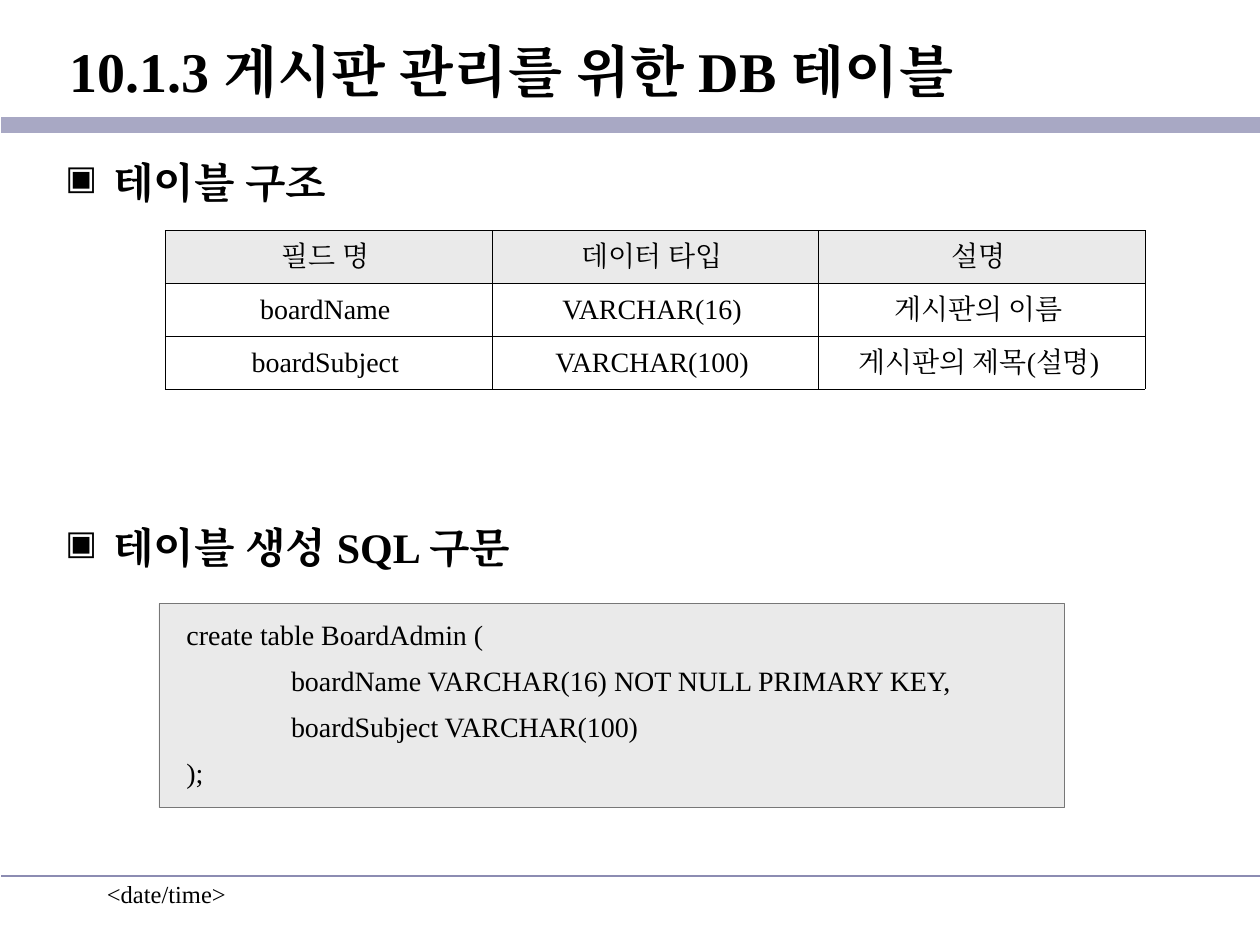
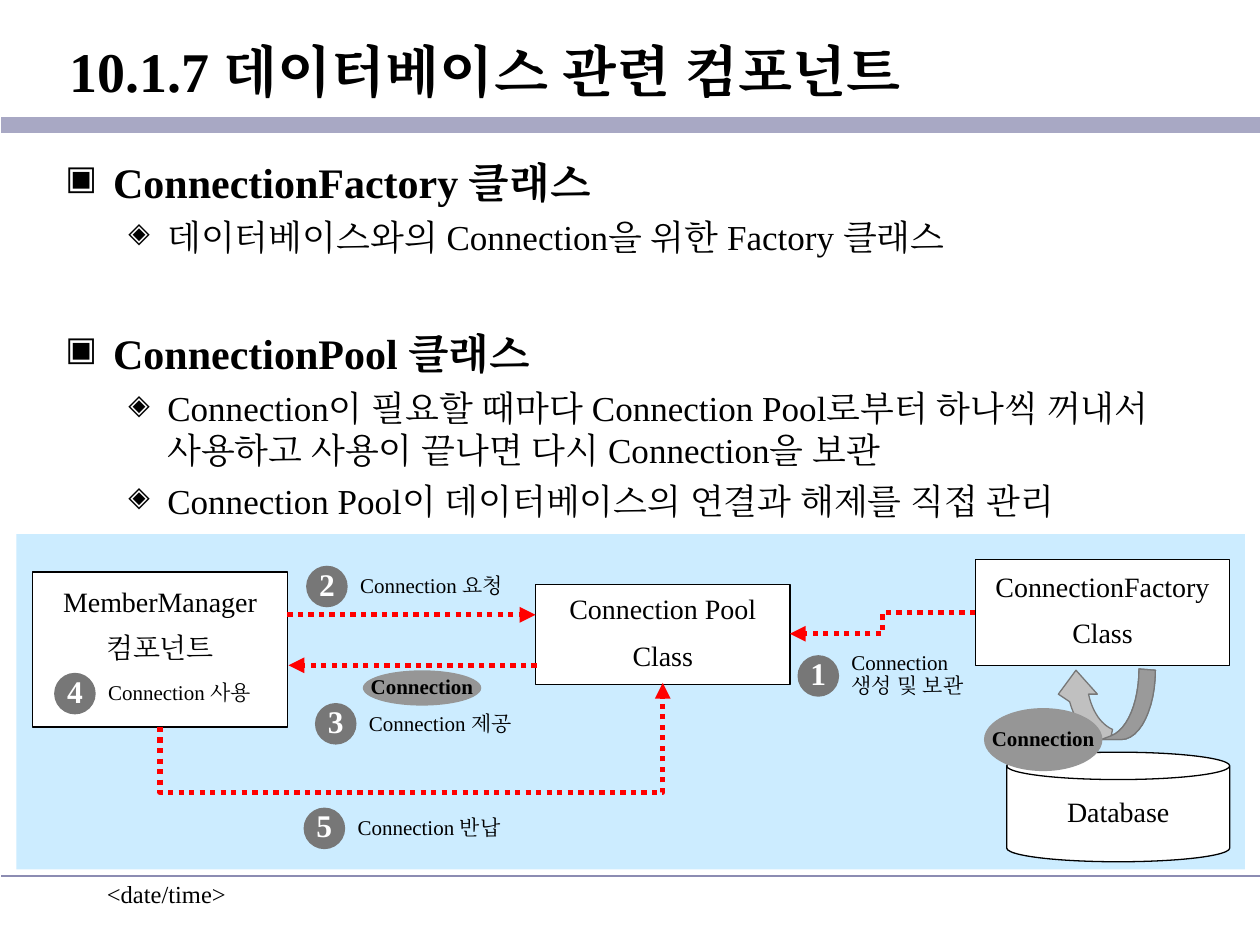
from lxml.etree import SubElement
from pptx import Presentation
from pptx.dml.color import RGBColor
from pptx.enum.dml import MSO_LINE
from pptx.enum.shapes import MSO_CONNECTOR, MSO_SHAPE
from pptx.enum.text import MSO_ANCHOR, MSO_AUTO_SIZE, PP_ALIGN
from pptx.oxml import parse_xml
from pptx.oxml.ns import nsdecls, qn
from pptx.util import Emu, Inches, Pt

# The grid has 100 columns and 75 rows of square cells.
COLUMNS = 100
FONT = "Times New Roman"
COLORS = {
    "text": "000000", "paper": "FFFFFF", "band": "A8A8C4", "rule": "8C8CB2",
    "panel": "EAEAEA", "panel_line": "777777", "diagram": "CCECFF",
    "arrow": "FF0000", "badge": "777777", "token": "969696",
    "turn": "C0C0C0", "turn_shade": "9A9A9A",
}
FONTS = {
    "title": dict(size=Pt(32), bold=True),
    "heading": dict(size=Pt(24), bold=True),
    "point": dict(size=Pt(20), bold=False),
    "box": dict(size=Pt(16), bold=False),
    "footer": dict(size=Pt(14), bold=False),
    "label": dict(size=Pt(12), bold=False),
    "token": dict(size=Pt(12), bold=True),
    "badge": dict(size=Pt(18), bold=True),
}
CENTER = PP_ALIGN.CENTER
PARAGRAPHS = {
    "title": dict(alignment=PP_ALIGN.LEFT),
    "heading": dict(space_before=Pt(6)),
    "point": dict(space_before=Pt(5)),
    "cell": dict(space_before=Pt(4), alignment=CENTER),
    "code": dict(space_before=Pt(10), line_spacing=0.85, alignment=PP_ALIGN.LEFT),
    "box": dict(space_before=Pt(10), line_spacing=0.85, alignment=CENTER),
    "store": dict(space_before=Pt(4), line_spacing=0.9, alignment=CENTER),
    "label": dict(space_before=Pt(3), line_spacing=0.9),
    "token": dict(space_before=Pt(3), line_spacing=0.9, alignment=CENTER),
    "badge": dict(space_before=Pt(11.2), line_spacing=0.85, alignment=CENTER),
}
# Bullet character, left margin and first-line indent in inches
BULLETS = {"heading": ("▣", 0.38, -0.38), "point": ("◈", 0.81, -0.31)}
MIDDLE = dict(vertical_anchor=MSO_ANCHOR.MIDDLE)
LOOSE = dict(MIDDLE, word_wrap=False)
TIGHT = dict(LOOSE, margin_left=0, margin_right=0, margin_top=0, margin_bottom=0)


def apply(target, values):
    """Set every attribute in a dict of format values."""
    for name, value in values.items():
        setattr(target, name, value)


def curve(start, c1, c2, end, steps=12):
    """Return points along a cubic curve, without its start."""
    points = []
    for i in range(1, steps + 1):
        t = i / steps
        weights = ((1 - t) ** 3, 3 * t * (1 - t) ** 2, 3 * t * t * (1 - t), t ** 3)
        points.append(tuple(sum(w * q[axis] for w, q in zip(weights, (start, c1, c2, end)))
                            for axis in (0, 1)))
    return points


class Deck:
    """Holds the style, the presentation and the current slide."""

    def __init__(self):
        """Start an empty presentation."""
        self.prs = Presentation()
        self.prs.slide_width, self.prs.slide_height = Inches(10), Inches(7.5)
        self.s = None

    def grid(self, *cells):
        """Turn grid cells into lengths."""
        return [Emu(round(c * self.prs.slide_width / COLUMNS)) for c in cells]

    def color(self, name):
        """Look up a colour by its role."""
        return RGBColor.from_string(COLORS[name])

    def add_slide(self, title):
        """Add a slide with its title, bands and footer."""
        self.s = self.prs.slides.add_slide(self.prs.slide_layouts[5])
        sp = self.s.shapes.title
        apply(sp, dict(zip(("left", "top", "width", "height"), self.grid(0.1, 1.1, 99.9, 9))))
        self.fill_text(sp.text_frame, [title], "title", frame=dict(
            MIDDLE, margin_left=Inches(0.54), auto_size=MSO_AUTO_SIZE.NONE))
        self.line(0.1, 9.9, 100, 9.9, "band", 9.24)
        self.line(0.1, 69.5, 100, 69.5, "rule", 0.99)
        self.text((7.5, 69.3, 20.8, 5), ["<date/time>"], "footer")

    def fill_text(self, tf, lines, font, para=None, frame=None, color="text"):
        """Fill a text frame, one paragraph a line."""
        apply(tf, frame or {})
        for i, line in enumerate(lines):
            p = tf.paragraphs[0] if i == 0 else tf.add_paragraph()
            self.add_run(p, line, font, para or font, color)

    def add_run(self, p, text, font, para, color="text"):
        """Put formatted text into a paragraph."""
        apply(p, PARAGRAPHS.get(para, {}))
        r = p.add_run()
        r.text = text
        apply(r.font, dict(FONTS[font], name=FONT))
        r.font.color.rgb = self.color(color)
        SubElement(r.font._element, qn("a:ea")).set("typeface", FONT)

    def indent(self, p, margin, first=0.0):
        """Indent a paragraph by inches."""
        pPr = p._p.get_or_add_pPr()
        pPr.set("marL", str(Inches(margin)))
        pPr.set("indent", str(Inches(first)))
        return pPr

    def text(self, box, lines, font, para=None):
        """Add a wrapping text box."""
        tf = self.s.shapes.add_textbox(*self.grid(*box)).text_frame
        self.fill_text(tf, lines, font, para, dict(word_wrap=True))
        return tf

    def outline(self, items):
        """Add bulleted text from (level, text, gap above in points) items."""
        tf = self.text((4.2, 11.9, 91.6, 57.1), [], "heading")
        for i, (level, text, gap) in enumerate(items):
            p = tf.paragraphs[0] if i == 0 else tf.add_paragraph()
            self.add_run(p, text, level, level)
            if gap:
                p.space_before = Pt(gap)
            char, margin, first = BULLETS[level]
            pPr = self.indent(p, margin, first)
            clr = SubElement(pPr, qn("a:buClr"))
            SubElement(clr, qn("a:srgbClr")).set("val", COLORS["text"])
            SubElement(pPr, qn("a:buSzPct")).set("val", "80000")
            SubElement(pPr, qn("a:buChar")).set("char", char)

    def paint(self, sp, fill, line=None, width=0.74):
        """Give a shape its fill and outline, without a shadow."""
        sp.shadow.inherit = False
        sp.fill.solid()
        sp.fill.fore_color.rgb = self.color(fill)
        if line:
            sp.line.color.rgb = self.color(line)
            sp.line.width = Pt(width)
        else:
            sp.line.fill.background()
        return sp

    def shape(self, kind, box, fill, line=None, width=0.74):
        """Add a preset shape."""
        return self.paint(self.s.shapes.add_shape(kind, *self.grid(*box)), fill, line, width)

    def box(self, box, lines, kind=MSO_SHAPE.RECTANGLE, para="box", below=0.05):
        """Add a white diagram box with centred text."""
        sp = self.shape(kind, box, "paper", "text")
        self.fill_text(sp.text_frame, lines, "box", para,
                       dict(LOOSE, margin_bottom=Inches(below)))

    def token(self, box):
        """Add an oval that stands for one connection."""
        sp = self.shape(MSO_SHAPE.OVAL, box, "token")
        self.fill_text(sp.text_frame, ["Connection"], "token", frame=LOOSE)

    def step(self, number, x, y, label, width=13.8, drop=0.3):
        """Add a numbered badge with a label on its right."""
        self.text((x + 3.3, y + drop, width, 2.8), [label], "label")
        sp = self.shape(MSO_SHAPE.OVAL, (x, y, 3.3, 3.3), "badge")
        self.fill_text(sp.text_frame, [str(number)], "badge", frame=TIGHT, color="paper")

    def line(self, x1, y1, x2, y2, color, width, kind=MSO_CONNECTOR.STRAIGHT):
        """Add a line without a shadow."""
        c = self.s.shapes.add_connector(kind, *self.grid(x1, y1, x2, y2))
        c.line.color.rgb = self.color(color)
        c.line.width = Pt(width)
        SubElement(c.element.spPr, qn("a:effectLst"))
        return c

    def arrow(self, x1, y1, x2, y2, kind=MSO_CONNECTOR.STRAIGHT):
        """Add a dotted red arrow."""
        c = self.line(x1, y1, x2, y2, "arrow", 3, kind)
        c.line.dash_style = MSO_LINE.ROUND_DOT
        ln = c.element.spPr.find(qn("a:ln"))
        SubElement(ln, qn("a:tailEnd")).set("type", "triangle")
        return c

    def return_arrow(self, x1, y1, x2, y2, low):
        """Add an arrow that drops to row low, runs right and rises."""
        cx, cy = (x1 + x2) / 2, (y1 + y2) / 2
        w, h = y1 - y2, x2 - x1
        c = self.arrow(cx + w / 2, cy + h / 2, cx - w / 2, cy - h / 2, MSO_CONNECTOR.ELBOW)
        spPr = c.element.spPr
        spPr.find(qn("a:xfrm")).set("rot", str(90 * 60000))
        geom = spPr.find(qn("a:prstGeom"))
        guides = geom.find(qn("a:avLst"))
        if guides is None:
            guides = SubElement(geom, qn("a:avLst"))
        gd = SubElement(guides, qn("a:gd"))
        gd.set("name", "adj1")
        gd.set("fmla", f"val {round((y1 - low) / w * 100000)}")

    def freeform(self, points, fill):
        """Add a closed outline."""
        points = [tuple(self.grid(*q)) for q in points]
        fb = self.s.shapes.build_freeform(*points[0], scale=1.0)
        fb.add_line_segments(points[1:], close=True)
        self.paint(fb.convert_to_shape(), fill, "panel_line")

    def turn_arrow(self):
        """Add the U-turn arrow, light in front and shaded behind."""
        top, low, end, fold = (91.7, 53.2), (89, 58.7), (87.4, 58.7), (88.2, 58.4)
        outer = [top] + curve(top, (91.7, 56.2), (90.5, 58.7), low) + [end]
        inner = [fold] + curve(fold, (89.5, 57.9), (90.4, 55.7), (90.4, 53.1))
        head = [(84, 55.1), (85.4, 53.2), (87.1, 55.1), (86.4, 55.1)]
        front = curve(end, (86.4, 58.7), (85.4, 57.5), (84.9, 55.7))
        front += head + curve(head[-1], (86.7, 56.5), (87.4, 57.5), (88.3, 57.9))
        self.freeform(outer + front + inner, "turn")
        self.freeform(outer + inner, "turn_shade")

    def table(self, box, rows):
        """Add a bordered table with a shaded header row."""
        t = self.s.shapes.add_table(len(rows), len(rows[0]), *self.grid(*box)).table
        t.first_row = t.horz_banding = False
        for i, row in enumerate(rows):
            for j, text in enumerate(row):
                cell = t.cell(i, j)
                apply(cell, dict(MIDDLE, margin_left=Inches(0.05)))
                self.fill_text(cell.text_frame, [text], "box", "cell")
                if i == 0:
                    cell.fill.solid()
                    cell.fill.fore_color.rgb = self.color("panel")
                else:
                    cell.fill.background()
                tcPr = cell._tc.get_or_add_tcPr()
                for k, side in enumerate("LRTB"):
                    tcPr.insert(k, parse_xml(
                        f'<a:ln{side} {nsdecls("a")} w="{Pt(0.11)}"><a:solidFill>'
                        f'<a:srgbClr val="{COLORS["text"]}"/></a:solidFill></a:ln{side}>'))

    def code(self, box, lines):
        """Add a code panel from (indent in inches, text) lines."""
        sp = self.shape(MSO_SHAPE.RECTANGLE, box, "panel", "panel_line", 0.26)
        tf = sp.text_frame
        self.fill_text(tf, [text for _, text in lines], "box", "code",
                       dict(MIDDLE, word_wrap=True, margin_left=Inches(0.05), margin_right=0))
        for p, (margin, _) in zip(tf.paragraphs, lines):
            self.indent(p, margin)


def table_slide(d):
    """Build the slide on the board table and its SQL."""
    d.add_slide("10.1.3 게시판 관리를 위한 DB 테이블")
    d.outline([("heading", "테이블 구조", None),
               ("heading", "테이블 생성 SQL 구문", 180)])
    d.table((13.1, 18.3, 77.8, 12.6), [
        ("필드 명", "데이터 타입", "설명"),
        ("boardName", "VARCHAR(16)", "게시판의 이름"),
        ("boardSubject", "VARCHAR(100)", "게시판의 제목(설명)")])
    d.code((12.6, 47.9, 71.9, 16.2), [
        (0.17, "create table BoardAdmin ("),
        (1, "boardName VARCHAR(16) NOT NULL PRIMARY KEY,"),
        (1, "boardSubject VARCHAR(100)"),
        (0.17, ");")])


def component_slide(d):
    """Build the slide on the database components."""
    d.add_slide("10.1.7 데이터베이스 관련 컴포넌트")
    d.outline([
        ("heading", "ConnectionFactory 클래스", None),
        ("point", "데이터베이스와의 Connection을 위한 Factory 클래스", None),
        ("heading", "ConnectionPool 클래스", 40),
        ("point", "Connection이 필요할 때마다 Connection Pool로부터 하나씩 꺼내서 "
                  "사용하고 사용이 끝나면 다시 Connection을 보관", None),
        ("point", "Connection Pool이 데이터베이스의 연결과 해제를 직접 관리", None)])
    d.shape(MSO_SHAPE.RECTANGLE, (1.3, 42.4, 97.5, 26.6), "diagram")
    d.box((2.6, 45.4, 20.2, 12.3), ["MemberManager", "컴포넌트"], below=0.41)
    d.box((42.5, 46.4, 20.2, 7.9), ["Connection Pool", "Class"])
    d.box((77.4, 44.4, 20.2, 8.4), ["ConnectionFactory", "Class"])
    d.box((79.9, 59.7, 17.7, 8.7), ["Database"], MSO_SHAPE.CAN, "store")
    d.turn_arrow()
    d.token((78.1, 56.2, 9.4, 5))
    d.arrow(77.4, 48.6, 62.7, 50.3, MSO_CONNECTOR.ELBOW)
    d.arrow(22.8, 48.8, 42.5, 48.8)
    d.arrow(42.6, 52.8, 22.9, 52.8)
    d.return_arrow(12.7, 57.7, 52.6, 54.2, 62.9)
    d.token((28.8, 53.2, 9.4, 2.8))
    d.step(1, 63.3, 52, "Connection 생성 및 보관", 11.3, -0.7)
    d.step(2, 24.3, 44.9, "Connection 요청")
    d.step(3, 25, 55.8, "Connection 제공")
    d.step(4, 4.3, 53.4, "Connection 사용")
    d.step(5, 24.1, 64.1, "Connection 반납")


deck = Deck()
table_slide(deck)
component_slide(deck)
deck.prs.save("out.pptx")
